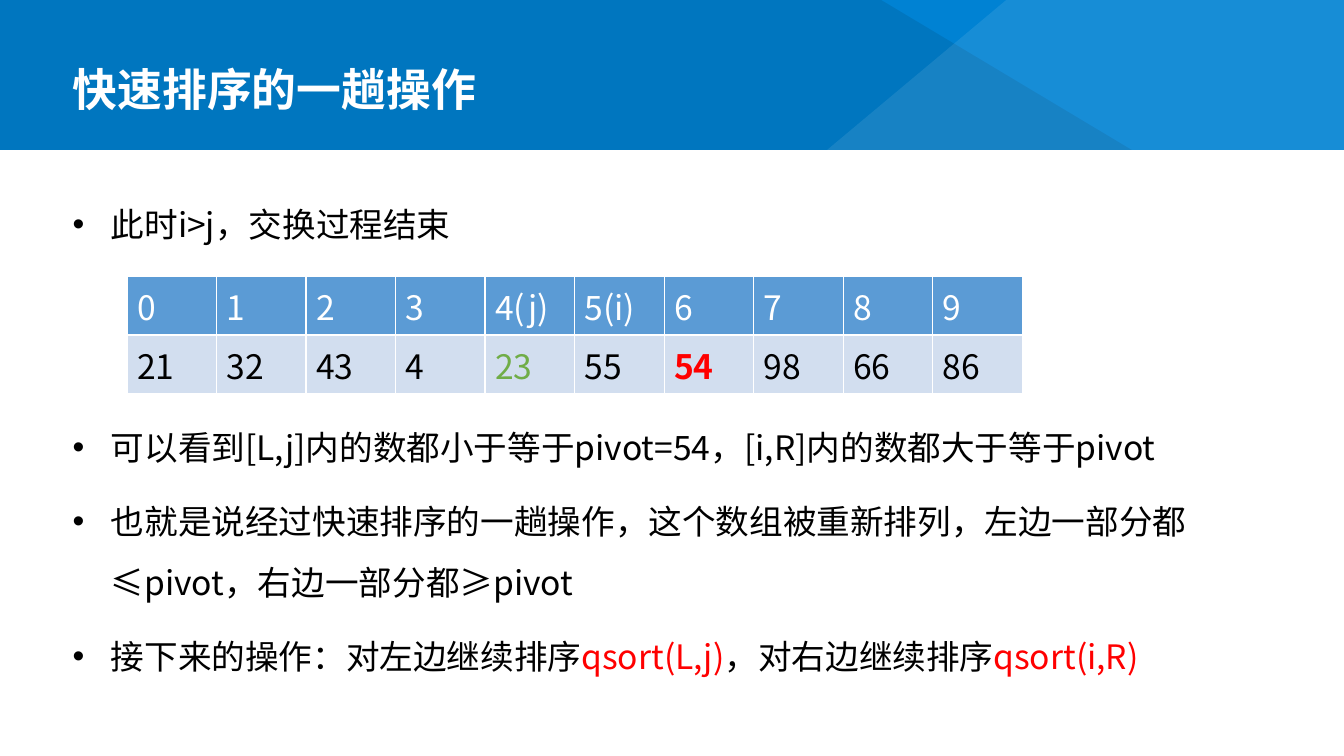
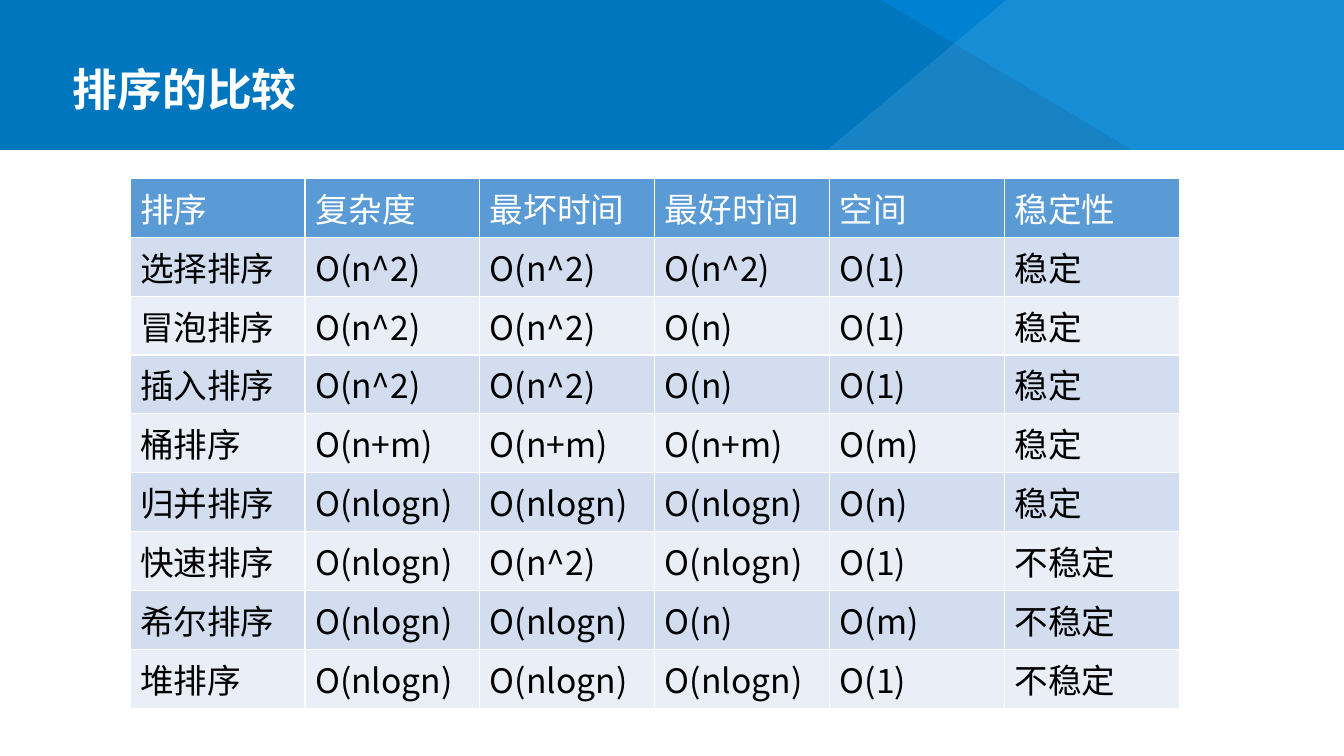
import dataclasses

import lxml.etree
import pptx
import pptx.dml.color
import pptx.enum.lang
import pptx.enum.shapes
import pptx.enum.text
import pptx.oxml.ns
import pptx.util


@dataclasses.dataclass(frozen=True)
class Theme:
    """Colours, font and type sizes of the deck."""
    font: str = "Noto Sans CJK SC"
    title_size: int = 32
    text_size: int = 24
    blue: str = "0082D3"
    white: str = "FFFFFF"
    black: str = "000000"
    red: str = "FF0000"
    green: str = "70AD47"
    header: str = "5B9BD5"
    bands: tuple = ("D2DEEF", "EAEFF7")
    veil: int = 9


THEME = Theme()
WIDTH, HEIGHT, BAND = 13.33, 7.5, 1.49
MARGIN = 0.62
CONTENT_TOP = 1.77
ROW = 0.58
LINE_SPACING, PARAGRAPH_GAP = 1.5, 10
TABLE_GAP = 116

# Band facets: points (x, y) and veil colour
FACETS = [
    ([(0, 0), (8.74, 0), (11.23, BAND), (0, BAND)], THEME.black),
    ([(9.98, 0), (WIDTH, 0), (WIDTH, BAND), (8.2, BAND)], THEME.white),
]

PASS_TITLE = "快速排序的一趟操作"
# Each point: space before, then (text, colour) pieces
PASS_POINTS = [
    (PARAGRAPH_GAP, [("此时i>j，交换过程结束", THEME.black)]),
    (TABLE_GAP, [("可以看到[L,j]内的数都小于等于pivot=54，[i,R]内的数都大于等于pivot",
                  THEME.black)]),
    (PARAGRAPH_GAP, [("也就是说经过快速排序的一趟操作，这个数组被重新排列，"
                      "左边一部分都≤pivot，右边一部分都≥pivot", THEME.black)]),
    (PARAGRAPH_GAP, [("接下来的操作：对左边继续排序", THEME.black),
                     ("qsort(L,j)", THEME.red),
                     ("，对右边继续排序", THEME.black),
                     ("qsort(i,R)", THEME.red)]),
]
ARRAY = [
    ["0", "1", "2", "3", "4(j)", "5(i)", "6", "7", "8", "9"],
    ["21", "32", "43", "4", "23", "55", "54", "98", "66", "86"],
]
ARRAY_MARKS = {"23": {"color": THEME.green},
               "54": {"color": THEME.red, "bold": True}}

COMPARISON_TITLE = "排序的比较"
COMPARISON = [
    ["排序", "复杂度", "最坏时间", "最好时间", "空间", "稳定性"],
    ["选择排序", "O(n^2)", "O(n^2)", "O(n^2)", "O(1)", "稳定"],
    ["冒泡排序", "O(n^2)", "O(n^2)", "O(n)", "O(1)", "稳定"],
    ["插入排序", "O(n^2)", "O(n^2)", "O(n)", "O(1)", "稳定"],
    ["桶排序", "O(n+m)", "O(n+m)", "O(n+m)", "O(m)", "稳定"],
    ["归并排序", "O(nlogn)", "O(nlogn)", "O(nlogn)", "O(n)", "稳定"],
    ["快速排序", "O(nlogn)", "O(n^2)", "O(nlogn)", "O(1)", "不稳定"],
    ["希尔排序", "O(nlogn)", "O(nlogn)", "O(n)", "O(m)", "不稳定"],
    ["堆排序", "O(nlogn)", "O(nlogn)", "O(nlogn)", "O(1)", "不稳定"],
]


def rgb(color):
    """Turn a hex string into a colour."""
    return pptx.dml.color.RGBColor.from_string(color)


def inches(*lengths):
    """Turn lengths in inches into a list of EMU."""
    return [pptx.util.Inches(length) for length in lengths]


def add_xml(parent, tag, **attributes):
    """Append a DrawingML element and return it."""
    return lxml.etree.SubElement(parent, pptx.oxml.ns.qn(tag), attributes)


def write(paragraph, text, color=THEME.black, size=THEME.text_size, bold=False):
    """Add one formatted run to a paragraph."""
    run = paragraph.add_run()
    run.text = text
    run.font.name = THEME.font
    run.font.size = pptx.util.Pt(size)
    run.font.bold = bold
    run.font.color.rgb = rgb(color)
    run.font.language_id = pptx.enum.lang.MSO_LANGUAGE_ID.SIMPLIFIED_CHINESE
    latin = run.font._element.find(pptx.oxml.ns.qn("a:latin"))
    east_asian = add_xml(run.font._element, "a:ea", typeface=THEME.font)
    latin.addnext(east_asian)


def paint(shape, color, opacity=100):
    """Give a shape a plain fill without line or shadow."""
    shape.shadow.inherit = False
    shape.line.fill.background()
    shape.fill.solid()
    shape.fill.fore_color.rgb = rgb(color)
    if opacity < 100:
        tint = next(shape.element.iter(pptx.oxml.ns.qn("a:srgbClr")))
        add_xml(tint, "a:alpha", val=str(opacity * 1000))


def build_backdrop(slide, master):
    """Draw the shared backdrop and move it onto the slide master."""
    rectangle = pptx.enum.shapes.MSO_SHAPE.RECTANGLE
    base = slide.shapes.add_shape(rectangle, *inches(0, 0, WIDTH, HEIGHT))
    paint(base, THEME.blue)
    backdrop = [base]
    for points, color in FACETS:
        start, *rest = [inches(*point) for point in points]
        builder = slide.shapes.build_freeform(*start)
        builder.add_line_segments(rest, close=True)
        facet = builder.convert_to_shape()
        paint(facet, color, THEME.veil)
        backdrop.append(facet)
    panel = slide.shapes.add_shape(
        rectangle, *inches(0, BAND, WIDTH, HEIGHT - BAND))
    paint(panel, THEME.white)
    backdrop.append(panel)
    for layer, shape in enumerate(backdrop, start=2):
        master.shapes.element.insert(layer, shape.element)


def place(placeholder, top, height):
    """Move a placeholder to the text column and return its text frame."""
    placeholder.left, placeholder.top, placeholder.width, placeholder.height = (
        inches(MARGIN, top, WIDTH - 2 * MARGIN, height))
    frame = placeholder.text_frame
    frame.word_wrap = True
    frame.auto_size = pptx.enum.text.MSO_AUTO_SIZE.NONE
    frame.vertical_anchor = pptx.enum.text.MSO_ANCHOR.TOP
    return frame


def fill_title(slide, text):
    """Write the slide title in the band."""
    frame = place(slide.shapes.title, MARGIN, MARGIN)
    heading = frame.paragraphs[0]
    heading.alignment = pptx.enum.text.PP_ALIGN.LEFT
    heading.line_spacing = 0.9
    write(heading, text, color=THEME.white, size=THEME.title_size, bold=True)


def fill_points(slide, points):
    """Write the bulleted points in the body placeholder."""
    frame = place(slide.placeholders[1], CONTENT_TOP, 5.1)
    indent = pptx.util.Inches(0.38)
    for index, (gap, pieces) in enumerate(points):
        point = frame.add_paragraph() if index else frame.paragraphs[0]
        point.alignment = pptx.enum.text.PP_ALIGN.LEFT
        point.line_spacing = LINE_SPACING
        point.space_before = pptx.util.Pt(gap)
        properties = point._p.get_or_add_pPr()
        properties.set("marL", str(indent))
        properties.set("indent", str(-indent))
        add_xml(properties, "a:buFont", typeface="Arial")
        add_xml(properties, "a:buChar", char="•")
        for text, color in pieces:
            write(point, text, color=color)


def rule_cell(cell):
    """Draw thin white borders around a cell."""
    properties = cell._tc.get_or_add_tcPr()
    for position, side in enumerate(("a:lnL", "a:lnR", "a:lnT", "a:lnB")):
        border = add_xml(properties, side, w=str(pptx.util.Pt(1)))
        add_xml(add_xml(border, "a:solidFill"), "a:srgbClr", val=THEME.white)
        properties.insert(position, border)


def add_grid(slide, rows, left, top, width, marks):
    """Add a table with a header row, banded body rows and equal columns."""
    count = len(rows[0])
    grid = slide.shapes.add_table(
        len(rows), count, *inches(left, top, width, ROW * len(rows))).table
    for column in grid.columns:
        column.width = pptx.util.Inches(width / count)
    for r, row in enumerate(rows):
        grid.rows[r].height = pptx.util.Inches(ROW)
        fill = THEME.bands[(r - 1) % 2] if r else THEME.header
        ink = THEME.black if r else THEME.white
        for c, text in enumerate(row):
            cell = grid.cell(r, c)
            cell.fill.solid()
            cell.fill.fore_color.rgb = rgb(fill)
            rule_cell(cell)
            write(cell.text_frame.paragraphs[0], text,
                  **{"color": ink, **marks.get(text, {})})


def main():
    """Build both slides and save the deck."""
    deck = pptx.Presentation()
    deck.slide_width, deck.slide_height = inches(WIDTH, HEIGHT)
    content_layout, title_layout = deck.slide_layouts[1], deck.slide_layouts[5]

    pass_slide = deck.slides.add_slide(content_layout)
    build_backdrop(pass_slide, deck.slide_master)
    fill_title(pass_slide, PASS_TITLE)
    fill_points(pass_slide, PASS_POINTS)
    add_grid(pass_slide, ARRAY, 1.26, 2.74, 8.88, ARRAY_MARKS)

    comparison_slide = deck.slides.add_slide(title_layout)
    fill_title(comparison_slide, COMPARISON_TITLE)
    add_grid(comparison_slide, COMPARISON, 1.29, CONTENT_TOP, 10.41, {})

    deck.save("out.pptx")


main()
